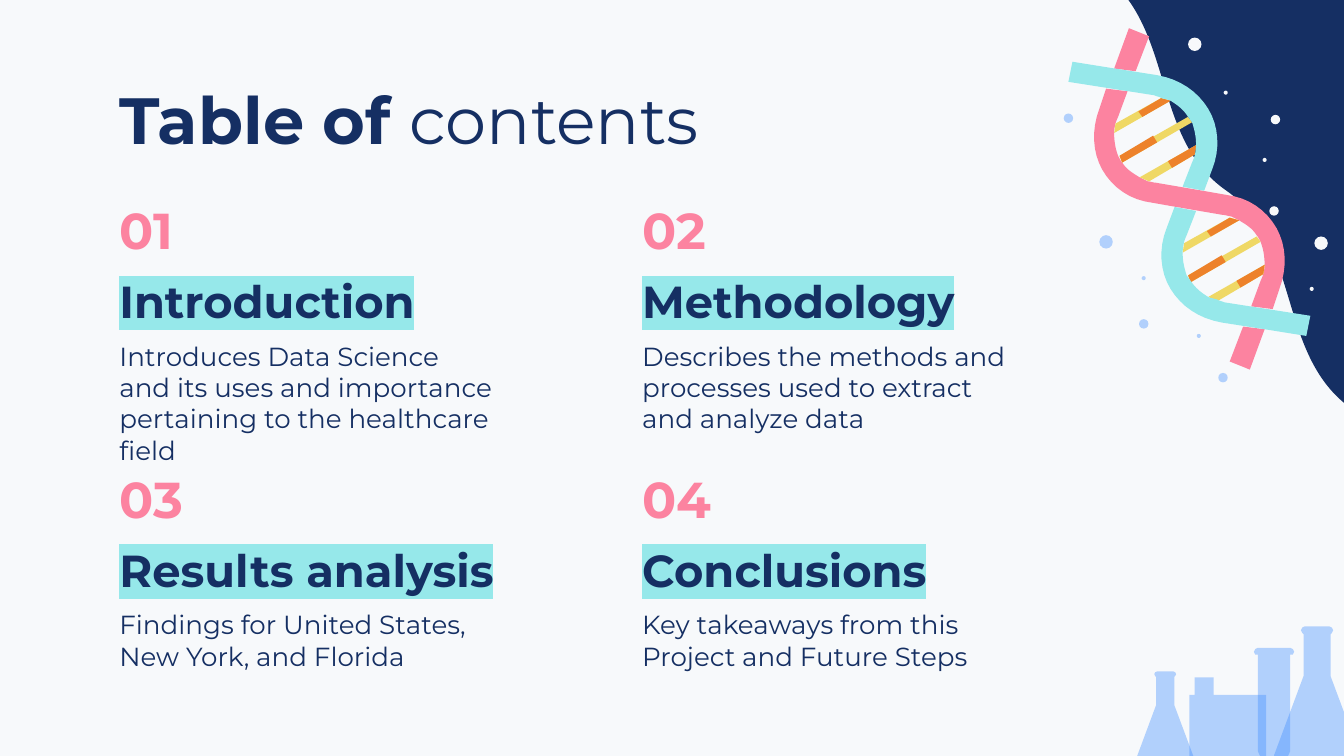
"""Build a table of contents slide with a DNA strand and laboratory glassware."""
from lxml.etree import SubElement
from pptx import Presentation
from pptx.dml.color import RGBColor
from pptx.enum.shapes import MSO_SHAPE
from pptx.enum.text import MSO_ANCHOR
from pptx.oxml import parse_xml
from pptx.oxml.ns import nsdecls, qn
from pptx.util import Inches, Pt

NAVY, PINK, TEAL, PALE = "152F63", "FC83A0", "96E8EA", "F7F9FB"
YELLOW, ORANGE, BLUE = "EFD865", "ED822B", "3B8BFF"

presentation = Presentation()
presentation.slide_width = Inches(10)
presentation.slide_height = Inches(10) * 9 // 16
slide = presentation.slides.add_slide(presentation.slide_layouts[6])
slide.background.fill.solid()
slide.background.fill.fore_color.rgb = RGBColor.from_string(PALE)


def paint(shape, color):
    shape.shadow.inherit = False
    shape.line.fill.background()
    shape.fill.solid()
    shape.fill.fore_color.rgb = RGBColor.from_string(color)
    if color == BLUE:
        tint = shape.fill._xPr.find(qn("a:solidFill"))[0]
        SubElement(tint, qn("a:alpha")).set("val", "37000")


def draw_outline(outline, color):
    points = [outline[0]]
    for step in outline[1:]:
        if len(step) == 2:
            points.append(step)
            continue
        controls = [points[-1], step[:2], step[2:4], step[4:]]
        for i in range(1, 9):
            t = i / 8
            weights = ((1 - t) ** 3, 3 * t * (1 - t) ** 2, 3 * t * t * (1 - t), t ** 3)
            points.append(tuple(sum(w * c[axis] for w, c in zip(weights, controls)) for axis in (0, 1)))
    corners = [(Inches(x), Inches(y)) for x, y in points]
    builder = slide.shapes.build_freeform(*corners[0])
    builder.add_line_segments(corners[1:], close=True)
    paint(builder.convert_to_shape(), color)


wave = slide.shapes.add_shape(MSO_SHAPE.DOUBLE_WAVE, Inches(8.17), Inches(-0.28), Inches(3.76), Inches(2.32))
wave.adjustments[0], wave.adjustments[1] = 0.038, 0
wave.rotation = 60
paint(wave, NAVY)

jar = [(8.89, 5.04), (8.89, 5.17), (8.85, 5.17), (8.85, 5.71), (9.42, 5.71), (9.42, 5.17), (9.03, 5.17), (9.03, 5.04)]
draw_outline(jar, BLUE)
flask = [(0.09, 1.05), (0.11, 1.04), (0.12, 1.02), (0.11, 1), (0.1, 0.99), (0.1, 0.68),
         (0.32, 0.09), (0.31, 0.03), (0.25, 0)]
tube = [(0.12, 0.89), (0.14, 0.88), (0.15, 0.86), (0.14, 0.84), (0.12, 0.84), (0.12, 0.12), (0.08, 0.03), (0, 0)]
for profile, center, scale in [(flask, 8.67, 0.68), (flask, 9.8, 1), (tube, 9.48, 1)]:
    right = [(center + x * scale, 5.71 - y * scale) for x, y in profile]
    left = [(center - x * scale, 5.71 - y * scale) for x, y in reversed(profile)]
    draw_outline(right + left, BLUE)

pink_end = [(8.4, 0.21), (8.29, 0.51), (8.45, 0.53), (8.55, 0.27)]
pink_strand = [
    (8.23, 0.66), (8.18, 0.81), (8.12, 0.97, 8.13, 1.13, 8.2, 1.26), (8.28, 1.4, 8.41, 1.49, 8.58, 1.51),
    (8.75, 1.54), (9.1, 1.6), (9.12, 1.6, 9.14, 1.61, 9.16, 1.61), (9.18, 1.62, 9.2, 1.63, 9.22, 1.64),
    (9.27, 1.67, 9.32, 1.7, 9.35, 1.75), (9.36, 1.76, 9.37, 1.78, 9.38, 1.8),
    (9.4, 1.85, 9.41, 1.91, 9.41, 1.97), (9.41, 2.01, 9.4, 2.05, 9.38, 2.09), (9.31, 2.28)]
teal_strand = [
    (7.98, 0.46), (7.95, 0.61), (8.59, 0.71), (8.61, 0.72, 8.63, 0.72, 8.64, 0.73),
    (8.67, 0.74, 8.69, 0.74, 8.71, 0.75), (8.76, 0.78, 8.81, 0.82, 8.84, 0.87),
    (8.85, 0.88, 8.86, 0.9, 8.87, 0.91), (8.89, 0.97, 8.9, 1.02, 8.9, 1.08),
    (8.9, 1.12, 8.89, 1.17, 8.87, 1.21), (8.8, 1.39), (8.96, 1.42), (9.02, 1.26),
    (9.08, 1.11, 9.07, 0.94, 8.99, 0.81), (8.91, 0.68, 8.78, 0.59, 8.61, 0.56), (8.29, 0.51)]
pink_turned, teal_turned, end_turned = [
    [tuple((17.7, 2.96)[i % 2] - value for i, value in enumerate(step)) for step in strand]
    for strand in (pink_strand, teal_strand, pink_end)]
for strand in (end_turned, pink_strand + pink_turned, pink_end):
    draw_outline(strand, PINK)

rungs = [
    (YELLOW, [(8.33, 1.16), (8.35, 1.21), (8.87, 0.91), (8.84, 0.87)]),
    (YELLOW, [(8.3, 0.92), (8.29, 0.99), (8.71, 0.75), (8.64, 0.73)]),
    (YELLOW, [(8.48, 1.32), (8.55, 1.35), (8.89, 1.15), (8.9, 1.08)]),
    (ORANGE, [(8.33, 1.16), (8.35, 1.21), (8.61, 1.06), (8.58, 1.01)]),
    (ORANGE, [(8.47, 0.83), (8.5, 0.87), (8.71, 0.75), (8.64, 0.73)]),
    (ORANGE, [(8.69, 1.2), (8.72, 1.25), (8.89, 1.15), (8.9, 1.08)])]
for dx, dy in [(0, 0), (0.51, 0.89)]:
    for color, rung in rungs:
        draw_outline([(x + dx, y + dy) for x, y in rung], color)
for strand in (teal_strand, teal_turned):
    draw_outline(strand, TEAL)

dots = [
    (0.07, PALE, [(9.49, 0.89), (9.48, 1.57)]),
    (0.07, BLUE, [(8.51, 2.41), (7.95, 0.88), (9.1, 2.81)]),
    (0.03, PALE, [(9.76, 2.15), (9.12, 0.69), (9.41, 1.19)]),
    (0.03, BLUE, [(8.51, 2.07), (8.92, 2.5)]),
    (0.1, PALE, [(9.83, 1.81), (8.89, 0.33)]),
    (0.1, BLUE, [(8.23, 1.8)])]
for size, color, centers in dots:
    for x, y in centers:
        dot = slide.shapes.add_shape(
            MSO_SHAPE.OVAL, Inches(x - size / 2), Inches(y - size / 2), Inches(size), Inches(size))
        paint(dot, color)

sections = [
    ("Introduction", "Introduces Data Science and its uses and importance pertaining to the healthcare field"),
    ("Methodology", "Describes the methods and processes used to extract and analyze data"),
    ("Results analysis", "Findings for United States, New York, and Florida"),
    ("Conclusions", "Key takeaways from this Project and Future Steps")]
texts = [(["Table of ", "contents"], 0.79, 0.49, 8.43, 0.63, 35, NAVY, True, MSO_ANCHOR.TOP)]
for index, (heading, description) in enumerate(sections):
    x, y = 0.79 + index % 2 * 3.89, 1.38 + index // 2 * 2
    texts += [
        ([f"{index + 1:02}"], x, y, 0.75, 0.65, 27, PINK, True, MSO_ANCHOR.MIDDLE),
        ([heading], x, y + 0.65, 3, 0.51, 24, NAVY, True, MSO_ANCHOR.BOTTOM),
        ([description], x, y + 1.05, 3, 0.88 if index == 0 else 0.53, 14, NAVY, False, MSO_ANCHOR.TOP)]

for parts, x, y, width, height, size, color, bold, anchor in texts:
    frame = slide.shapes.add_textbox(Inches(x), Inches(y), Inches(width), Inches(height)).text_frame
    frame.word_wrap = True
    frame.vertical_anchor = anchor
    frame.margin_left = frame.margin_right = frame.margin_top = frame.margin_bottom = Inches(0.1)
    paragraph = frame.paragraphs[0]
    paragraph.font.name, paragraph.font.size, paragraph.font.bold = "Montserrat", Pt(size), bold
    paragraph.font.color.rgb = RGBColor.from_string(color)
    for part in parts:
        run = paragraph.add_run()
        run.text = part
        if part == "contents":
            run.font.bold = False
        if size == 24:
            run._r.get_or_add_rPr().append(parse_xml(
                f'<a:highlight {nsdecls("a")}><a:srgbClr val="{TEAL}"/></a:highlight>'))

presentation.save("out.pptx")
